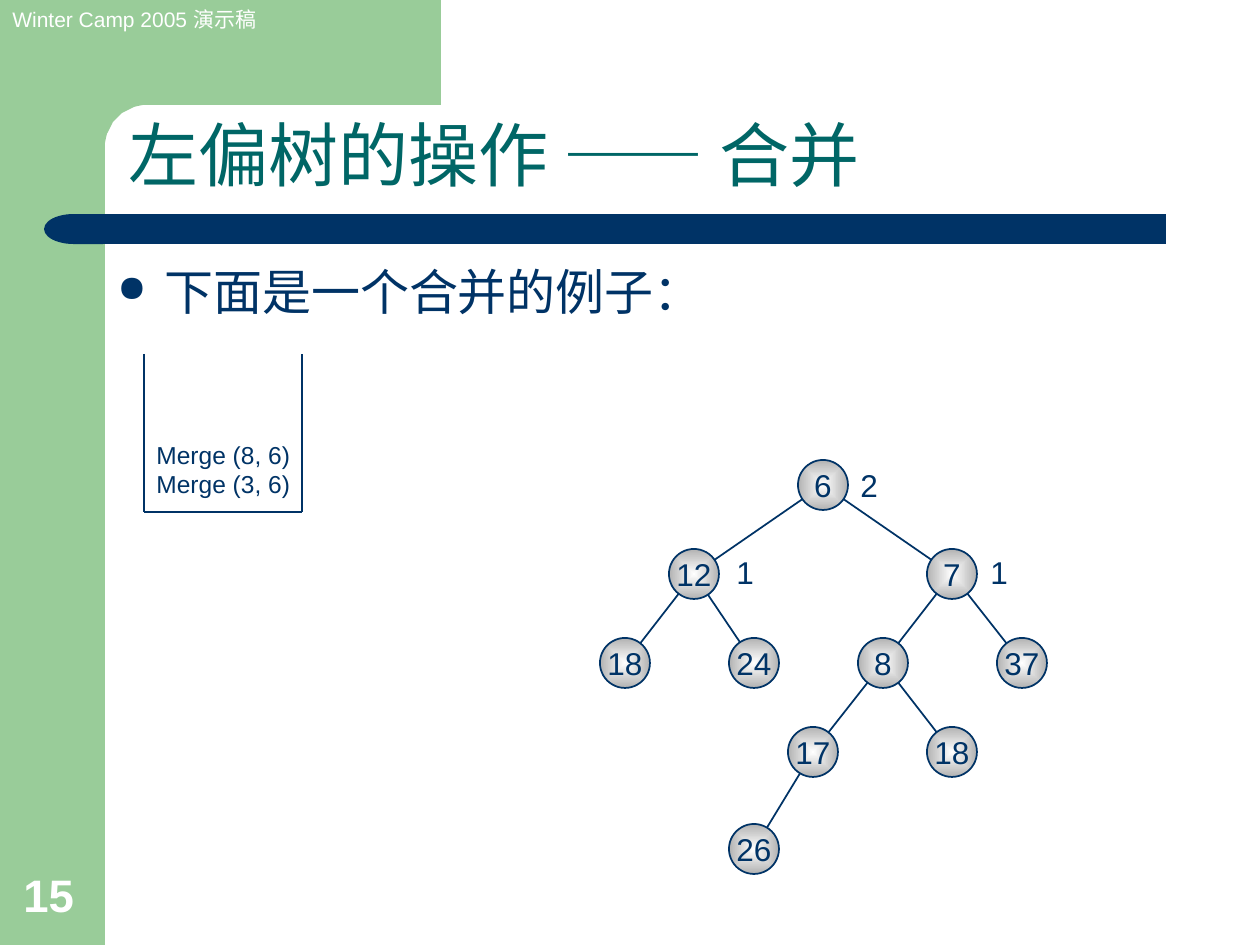
from math import cos, radians, sin
from lxml.etree import SubElement
from pptx import Presentation
from pptx.dml.color import RGBColor
from pptx.enum.shapes import MSO_CONNECTOR, MSO_SHAPE
from pptx.enum.text import MSO_ANCHOR, MSO_AUTO_SIZE, PP_ALIGN
from pptx.oxml.ns import qn
from pptx.util import Emu, Pt

PX = 914400 / 126
NAVY, TEAL, GREEN, WHITE, GREY = "003366", "006666", "99CC99", "FFFFFF", "B2B2B2"
CJK_FONT = "Noto Sans CJK SC"
NODE_SIZE = 50

NODES = {
    "root": ("6", 823, 485),
    "left": ("12", 694, 574),
    "left left": ("18", 625, 663),
    "left right": ("24", 754, 663),
    "right": ("7", 952, 574),
    "right left": ("8", 883, 663),
    "right right": ("37", 1022, 663),
    "right left left": ("17", 813, 752),
    "right left right": ("18", 952, 752),
    "last leaf": ("26", 754, 849),
}
EDGES = [
    ("root", "left"),
    ("root", "right"),
    ("left", "left left"),
    ("left", "left right"),
    ("right", "right left"),
    ("right", "right right"),
    ("right left", "right left left"),
    ("right left", "right left right"),
    ("right left left", "last leaf"),
]
DISTANCES = [("2", 848, 460), ("1", 724, 547), ("1", 978, 547)]
STACK_CORNERS = [(144, 354), (144, 512), (302, 512), (302, 354)]


def px(value):
    return Emu(round(value * PX))


def color(hex_text):
    return RGBColor.from_string(hex_text)


def add_span(para, text, size=18, fill=NAVY, bold=False, font="Arial"):
    span = para.add_run()
    span.text = text
    span.font.size = Pt(size)
    span.font.bold = bold
    span.font.name = font
    span.font.color.rgb = color(fill)
    SubElement(span.font._element, qn("a:ea"), typeface=CJK_FONT)
    return span


def format_frame(frame, anchor=MSO_ANCHOR.TOP, wrap=True):
    frame.auto_size = MSO_AUTO_SIZE.NONE
    frame.word_wrap = wrap
    frame.vertical_anchor = anchor


def add_text(page, left, top, width, height, lines, anchor=MSO_ANCHOR.TOP,
             align=PP_ALIGN.LEFT, wrap=True, **style):
    box = page.shapes.add_textbox(px(left), px(top), px(width), px(height))
    format_frame(box.text_frame, anchor, wrap)
    for index, line in enumerate(lines):
        para = box.text_frame.add_paragraph() if index else box.text_frame.paragraphs[0]
        para.alignment = align
        add_span(para, line, **style)
    return box


def add_bullet(para, indent):
    properties = para._p.get_or_add_pPr()
    properties.set("marL", str(px(indent)))
    properties.set("indent", str(-px(indent)))
    bullet_color = SubElement(properties, qn("a:buClr"))
    SubElement(bullet_color, qn("a:srgbClr"), val=NAVY)
    SubElement(properties, qn("a:buSzPct"), val="75000")
    SubElement(properties, qn("a:buChar"), char="●")


def paint(shape, fill):
    shape.shadow.inherit = False
    shape.fill.solid()
    shape.fill.fore_color.rgb = color(fill)
    shape.line.fill.background()


def add_block(page, kind, left, top, width, height, fill):
    shape = page.shapes.add_shape(kind, px(left), px(top), px(width), px(height))
    paint(shape, fill)
    return shape


def add_corner(page):
    arc = [(147 + 42 * cos(radians(angle)), 147 + 42 * sin(radians(angle)))
           for angle in range(270, 179, -6)]
    outline = [(441, 105), *arc, (105, 161), (63, 161), (63, 0)]
    builder = page.shapes.build_freeform(441, 0, scale=PX)
    builder.add_line_segments(outline, close=True)
    paint(builder.convert_to_shape(), GREEN)


def add_line(page, start, end, width):
    line = page.shapes.add_connector(
        MSO_CONNECTOR.STRAIGHT, *map(px, start), *map(px, end))
    line.line.color.rgb = color(NAVY)
    line.line.width = Pt(width)
    SubElement(line._element.spPr, qn("a:effectLst"))


def add_node(page, label, center_x, center_y):
    radius = NODE_SIZE / 2
    node = add_block(page, MSO_SHAPE.OVAL, center_x - radius, center_y - radius,
                     NODE_SIZE, NODE_SIZE, WHITE)
    node.fill.gradient()
    for stop, shade in zip(node.fill.gradient_stops, (WHITE, GREY)):
        stop.color.rgb = color(shade)
    gradient = node._element.spPr.find(qn("a:gradFill"))
    gradient.remove(gradient.find(qn("a:lin")))
    focus = SubElement(gradient, qn("a:path"), path="rect")
    SubElement(focus, qn("a:fillToRect"), l="50000", t="50000", r="50000", b="50000")
    node.line.color.rgb = color(NAVY)
    node.line.width = Pt(1)
    format_frame(node.text_frame, MSO_ANCHOR.MIDDLE, wrap=False)
    para = node.text_frame.paragraphs[0]
    para.alignment = PP_ALIGN.CENTER
    add_span(para, label)


def add_background(page):
    add_block(page, MSO_SHAPE.RECTANGLE, 0, 0, 105, 945, GREEN)
    add_corner(page)
    add_block(page, MSO_SHAPE.RECTANGLE, 102, 214, 1064, 30, NAVY)
    cap = add_block(page, MSO_SHAPE.FLOWCHART_DELAY, 44, 214, 59, 30, NAVY)
    cap.rotation = 180
    add_text(page, 0, 0, 287, 38, ["Winter Camp 2005 演示稿"], size=12, fill=WHITE)
    add_text(page, 11, 861, 81, 67, ["15"], anchor=MSO_ANCHOR.BOTTOM,
             size=26, fill=WHITE, bold=True)


def set_title(page):
    title = page.shapes.title
    title.left, title.top, title.width, title.height = map(px, (116, 117, 1048, 86))
    format_frame(title.text_frame, MSO_ANCHOR.BOTTOM)
    para = title.text_frame.paragraphs[0]
    para.alignment = PP_ALIGN.LEFT
    para.line_spacing = 0.9
    add_span(para, "左偏树的操作 ", size=40, fill=TEAL)
    add_span(para, "——", size=40, fill=TEAL, font=CJK_FONT)
    add_span(para, " 合并", size=40, fill=TEAL)


def add_stack(page):
    add_text(page, 144, 374, 158, 131, ["Merge (8, 6)", "Merge (3, 6)"],
             anchor=MSO_ANCHOR.BOTTOM, wrap=False, size=14)
    for start, end in zip(STACK_CORNERS, STACK_CORNERS[1:]):
        add_line(page, start, end, 0.75)


def add_tree(page):
    for label, left, top in DISTANCES:
        add_text(page, left, top, 40, 50, [label], align=PP_ALIGN.CENTER)
    for parent, child in EDGES:
        add_line(page, NODES[parent][1:], NODES[child][1:], 1)
    for node in NODES.values():
        add_node(page, *node)


def main():
    deck = Presentation()
    deck.slide_width, deck.slide_height = px(1260), px(945)
    page = deck.slides.add_slide(deck.slide_layouts[5])
    add_background(page)
    set_title(page)
    body = add_text(page, 105, 255, 1062, 615, ["下面是一个合并的例子："], size=28)
    add_bullet(body.text_frame.paragraphs[0], 47)
    add_stack(page)
    add_tree(page)
    deck.save("out.pptx")


if __name__ == "__main__":
    main()
